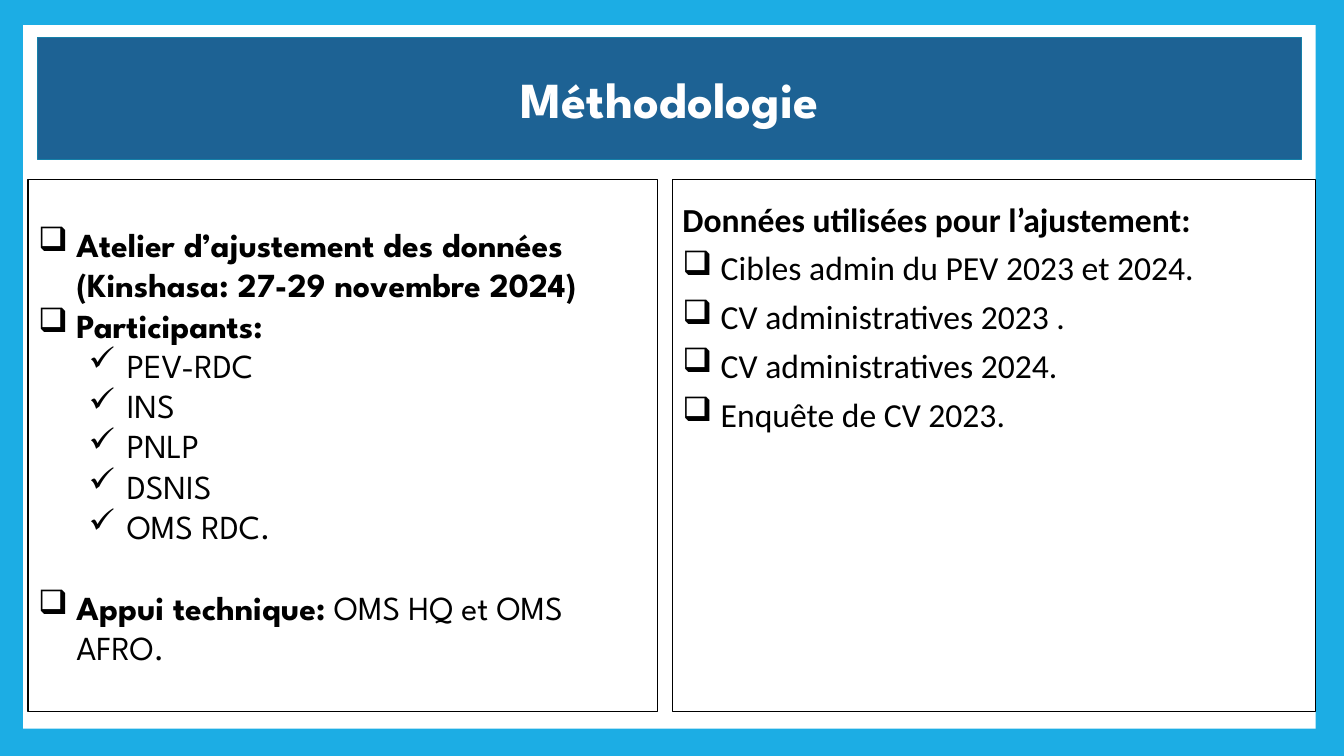
from lxml.etree import SubElement
from pptx import Presentation
from pptx.dml.color import RGBColor
from pptx.enum.shapes import MSO_SHAPE as Shape
from pptx.enum.text import MSO_ANCHOR as Anchor, PP_ALIGN as Align
from pptx.oxml.ns import qn
from pptx.util import Inches, Pt

# Content: each paragraph is (kind, [(text, bold), ...], format)
TITLE = [("plain", [("Méthodologie", True)], {"alignment": Align.CENTER})]
WORKSHOP = [
    ("box", [("Atelier d’ajustement des données (Kinshasa: 27-29 novembre 2024)", True)], {}),
    ("box", [("Participants:", True)], {}),
    *[("check", [(name, False)], {})
      for name in ("PEV-RDC", "INS", "PNLP", "DSNIS", "OMS RDC.")],
    ("box", [("Appui technique:", True), (" OMS HQ et OMS AFRO.", False)],
     {"space_before": Pt(28.8)}),
]
SPACED = {"space_after": Pt(6)}
DATA_USED = [
    ("plain", [("Données utilisées pour l’ajustement:", True)], SPACED),
    *[("box", [(source, False)], SPACED)
      for source in ("Cibles admin du PEV 2023 et 2024.", "CV administratives 2023 .",
                     "CV administratives 2024.", "Enquête de CV 2023.")],
]

# Bullet kinds: (character, left margin, level)
BULLETS = {"box": ("❑", 0.38, 0), "check": ("✓", 0.88, 1)}
HANGING = 0.38

# Layout in inches
WIDTH, HEIGHT = 13.33, 7.5
PANEL_TOP, PANEL_HEIGHT = 1.78, 5.28
BLACK, WHITE = "000000", "FFFFFF"


def color(hex_value):
    return RGBColor.from_string(hex_value)


def add_rect(slide, place, fill, line=None):
    rect = slide.shapes.add_shape(Shape.RECTANGLE, *map(Inches, place))
    rect.shadow.inherit = False
    rect.fill.solid()
    rect.fill.fore_color.rgb = color(fill)
    if line:
        rect.line.color.rgb = color(line)
        rect.line.width = Pt(1)
    else:
        rect.line.fill.background()
    return rect


def add_bullet(paragraph, kind):
    character, margin, paragraph.level = BULLETS[kind]
    properties = paragraph._p.get_or_add_pPr()
    properties.set("marL", str(Inches(margin)))
    properties.set("indent", str(-Inches(HANGING)))
    SubElement(properties, qn("a:buChar")).set("char", character)


def write(rect, content, font, size, ink, anchor=Anchor.MIDDLE, inset=0.05):
    frame = rect.text_frame
    for name, value in {"word_wrap": True, "vertical_anchor": anchor,
                        "margin_top": Inches(inset)}.items():
        setattr(frame, name, value)
    for index, (kind, pieces, layout) in enumerate(content):
        paragraph = frame.add_paragraph() if index else frame.paragraphs[0]
        if kind in BULLETS:
            add_bullet(paragraph, kind)
        for name, value in ({"alignment": Align.LEFT} | layout).items():
            setattr(paragraph, name, value)
        for text, bold in pieces:
            run = paragraph.add_run()
            run.text = text
            for name, value in {"name": font, "size": Pt(size), "bold": bold}.items():
                setattr(run.font, name, value)
            run.font.color.rgb = color(ink)


def main():
    deck = Presentation()
    deck.slide_width, deck.slide_height = Inches(WIDTH), Inches(HEIGHT)
    slide = deck.slides.add_slide(deck.slide_layouts[6])

    # Blue frame around the white page
    add_rect(slide, (0, 0, WIDTH, HEIGHT), "1CADE4")
    add_rect(slide, (0.23, 0.25, 12.82, 6.98), WHITE)

    # Title band
    band = add_rect(slide, (0.37, 0.37, 12.54, 1.21), "1D6294", "1580A9")
    write(band, TITLE, "League Spartan", 36, WHITE)

    # Two panels
    workshop = add_rect(slide, (0.28, PANEL_TOP, 6.24, PANEL_HEIGHT), WHITE, BLACK)
    write(workshop, WORKSHOP, "League Spartan", 24, BLACK)
    data_used = add_rect(slide, (6.67, PANEL_TOP, 6.38, PANEL_HEIGHT), WHITE, BLACK)
    write(data_used, DATA_USED, "Calibri", 24, BLACK, Anchor.TOP, 0.19)

    deck.save("out.pptx")


if __name__ == "__main__":
    main()
